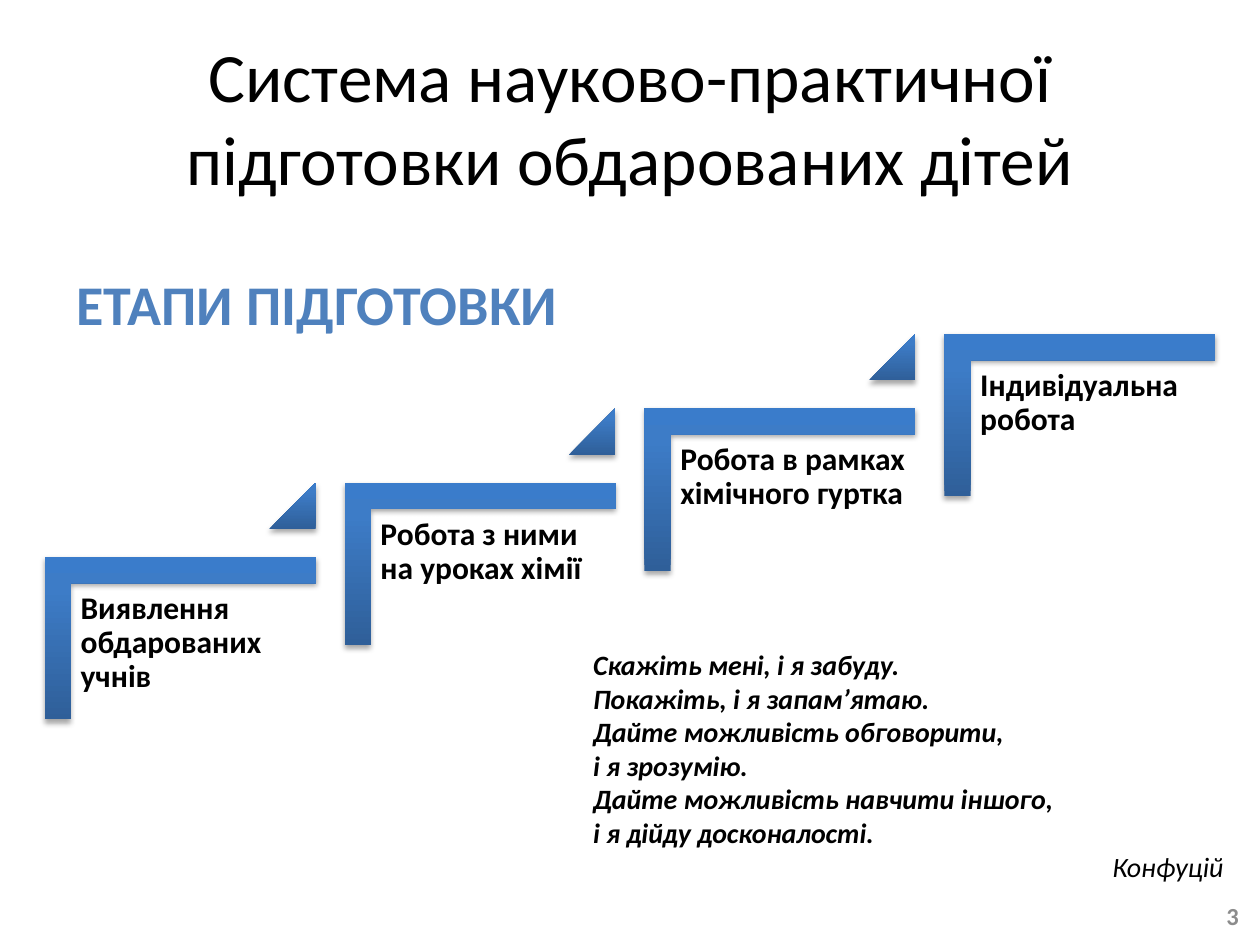
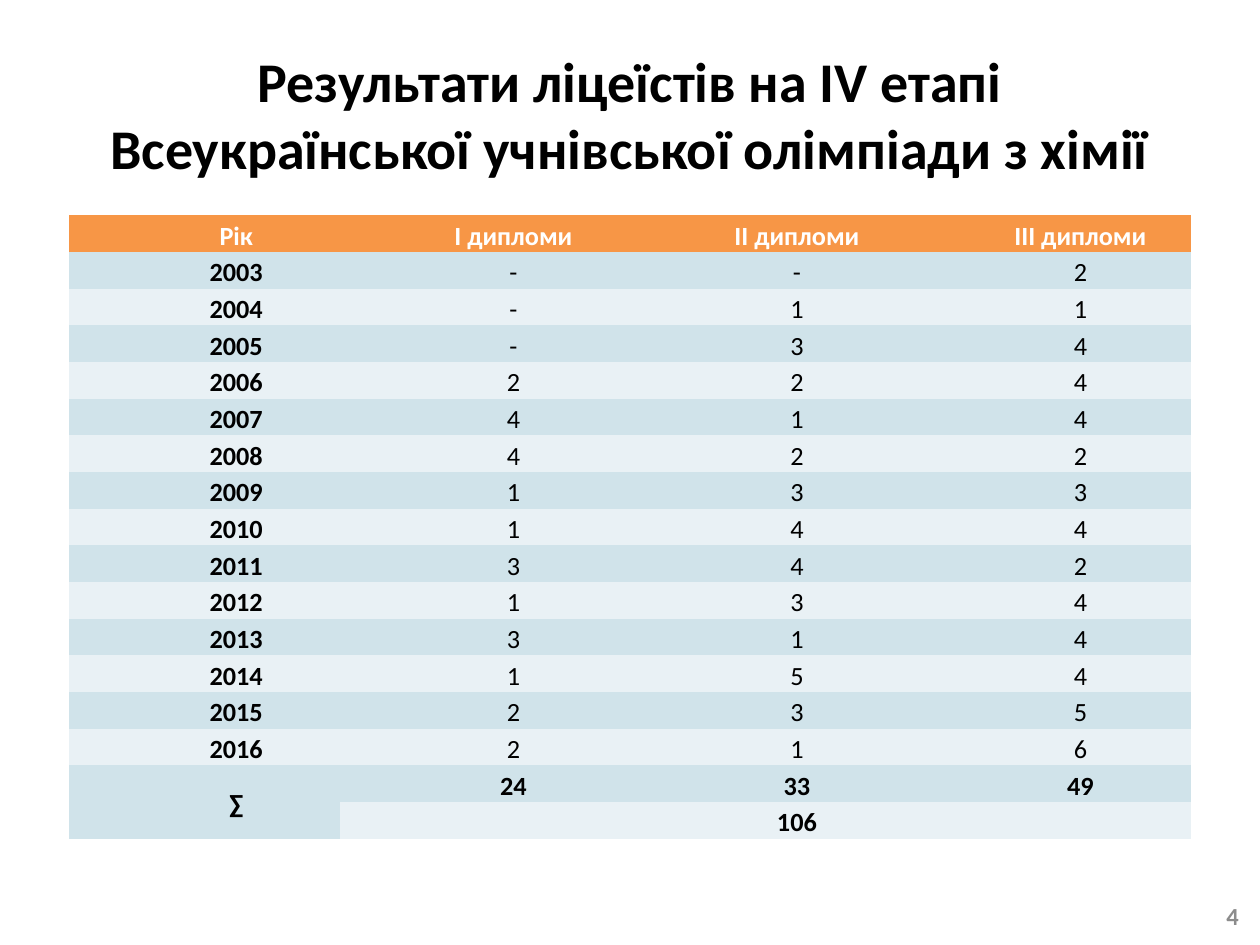
from lxml.etree import SubElement
from pptx import Presentation
from pptx.dml.color import RGBColor
from pptx.enum.shapes import MSO_SHAPE
from pptx.enum.text import MSO_ANCHOR, PP_ALIGN
from pptx.oxml import parse_xml
from pptx.oxml.ns import qn
from pptx.util import Inches, Pt

# The slide is a grid of 100 columns by 75 rows of square cells.
COLUMNS, ROWS = 100, 75
CELL = Inches(0.1)
FONT = "Calibri"
BLACK, WHITE, GREY, BLUE = "000000", "FFFFFF", "8C8C8C", "4F81BD"
HEADER_FILL, BAND_FILLS = "F79646", ("E9F1F5", "D0E3EA")
STEP_GRADIENT = ((0, "2F5F99"), (80, "3D7CC7"), (100, "3A7CCB"))
NO_GRID_STYLE = "{2D5ABB26-0587-4C30-8999-92F81FD0307C}"
DRAWING_NS = 'xmlns:a="http://schemas.openxmlformats.org/drawingml/2006/main"'

STAGES = (
    "Виявлення обдарованих учнів",
    "Робота з ними на уроках хімії",
    "Робота в рамках хімічного гуртка",
    "Індивідуальна робота",
)
QUOTE = (
    "Скажіть мені, і я забуду.",
    "Покажіть, і я запам’ятаю.",
    "Дайте можливість обговорити,",
    "і я зрозумію.",
    "Дайте можливість навчити іншого,",
    "і я дійду досконалості.",
)
DIPLOMA_HEADINGS = ("Рік", "І дипломи", "ІІ дипломи", "ІІІ дипломи")
FIRST_YEAR = 2003
DIPLOMAS = ("--2", "-11", "-34", "224", "414", "422", "133",
            "144", "342", "134", "314", "154", "235", "216")
TOTALS = (("∑", "24", "33", "49"), ("", "106", "", ""))


def cells(*lengths):
    return [round(length * CELL) for length in lengths]


def color(hex_value):
    return RGBColor.from_string(hex_value)


def style(paragraph, size, hex_value=BLACK, bold=False, italic=False, **layout):
    """Set the font, then any paragraph attributes such as alignment."""
    font = paragraph.font
    values = {"name": FONT, "size": Pt(size), "bold": bold, "italic": italic}
    for name, value in values.items():
        setattr(font, name, value)
    font.color.rgb = color(hex_value)
    for name, value in layout.items():
        setattr(paragraph, name, value)


def add_text(shapes, box, lines, anchor=MSO_ANCHOR.TOP, inset=None, **format_values):
    frame = shapes.add_textbox(*cells(*box)).text_frame
    frame.word_wrap = True
    frame.vertical_anchor = anchor
    if inset is not None:
        for side in ("left", "top", "right", "bottom"):
            setattr(frame, f"margin_{side}", Inches(inset))
    frame.text = "\n".join(lines)
    for paragraph in frame.paragraphs:
        style(paragraph, **format_values)
    return frame


def add_titled_slide(deck, title, box, number, size, bold=False):
    slide = deck.slides.add_slide(deck.slide_layouts[5])
    heading = slide.shapes.title
    heading.left, heading.top, heading.width, heading.height = cells(*box)
    frame = heading.text_frame
    frame.text = title
    frame.word_wrap = True
    frame.vertical_anchor = MSO_ANCHOR.MIDDLE
    style(frame.paragraphs[0], size, bold=bold, alignment=PP_ALIGN.CENTER)
    add_text(slide.shapes, (76, 70.7, 23.3, 4), [str(number)], MSO_ANCHOR.MIDDLE,
             size=14, hex_value=GREY, bold=True, alignment=PP_ALIGN.RIGHT)
    return slide


def add_step_shape(shapes, kind, box, adjustments, rotation=0):
    """Add a shape with an upright three-stop gradient and a soft shadow."""
    shape = shapes.add_shape(kind, *cells(*box))
    shape.rotation = rotation
    for index, value in enumerate(adjustments):
        shape.adjustments[index] = value
    shape.line.fill.background()
    stops = "".join(
        f'<a:gs pos="{share * 1000}"><a:srgbClr val="{hex_value}"/></a:gs>'
        for share, hex_value in STEP_GRADIENT)
    properties = shape._element.spPr
    properties.find(qn("a:prstGeom")).addnext(parse_xml(
        f'<a:gradFill {DRAWING_NS} rotWithShape="0"><a:gsLst>{stops}</a:gsLst>'
        '<a:lin ang="16200000" scaled="0"/></a:gradFill>'))
    properties.append(parse_xml(
        f'<a:effectLst {DRAWING_NS}><a:outerShdw blurRad="{Pt(3.1)}" dist="{Pt(1.8)}" '
        'dir="5400000" rotWithShape="0"><a:srgbClr val="000000">'
        '<a:alpha val="35000"/></a:srgbClr></a:outerShdw></a:effectLst>'))


def add_staircase(slide, box, stages):
    """Climb from the lower left of the box, one bracket per stage."""
    left, top, width, height = box
    step_width, step_height, marker = 21.5, 12.9, 3.7
    last = len(stages) - 1
    run = (width - step_width) / last
    rise = (height - step_height) / last
    shapes = slide.shapes.add_group_shape().shapes
    for index, stage in enumerate(stages):
        x, y = left + index * run, top + (last - index) * rise
        turn = (step_width - step_height) / 2
        add_step_shape(shapes, MSO_SHAPE.CORNER,
                       (x + turn, y - turn, step_height, step_width),
                       (0.161, 0.161), rotation=90)
        add_text(shapes, (x + 2.15, y + 2.1, 19.4, 17), [stage], inset=0.07,
                 size=18, bold=True, line_spacing=0.9)
        if index < last:
            add_step_shape(shapes, MSO_SHAPE.ISOSCELES_TRIANGLE,
                           (x + step_width - marker, y - rise, marker, marker), (1,))


def add_quote(slide, box, lines, author):
    frame = add_text(slide.shapes, box, lines, size=16, bold=True, italic=True)
    signature = frame.add_paragraph()
    signature.text = author
    style(signature, 16, italic=True, alignment=PP_ALIGN.RIGHT)


def fill_cell(cell, text, fill, **format_values):
    cell.fill.solid()
    cell.fill.fore_color.rgb = color(fill)
    cell.vertical_anchor = MSO_ANCHOR.MIDDLE
    margins = {"left": 0.06, "top": 0, "right": 0.06, "bottom": 0}
    for side, margin in margins.items():
        setattr(cell, f"margin_{side}", Inches(margin))
    cell.text = text
    paragraph = cell.text_frame.paragraphs[0]
    indent = paragraph._p.get_or_add_pPr()
    indent.set("marL", str(Inches(0.5)))
    indent.set("indent", "0")
    style(paragraph, 15, alignment=PP_ALIGN.CENTER, line_spacing=1.15, **format_values)


def add_diploma_table(slide, box):
    years = [(str(FIRST_YEAR + index), *counts) for index, counts in enumerate(DIPLOMAS)]
    records = [DIPLOMA_HEADINGS, *years, *TOTALS]
    first_total = len(records) - len(TOTALS)
    left, top, width, height = box
    table = slide.shapes.add_table(
        len(records), len(DIPLOMA_HEADINGS), *cells(*box)).table
    table.first_row = table.horz_banding = False
    properties = table._tbl.tblPr
    for style_id in properties.findall(qn("a:tableStyleId")):
        properties.remove(style_id)
    SubElement(properties, qn("a:tableStyleId")).text = NO_GRID_STYLE

    diploma_width = 22.5
    for index, column in enumerate(table.columns):
        column.width = cells(diploma_width if index else width - 3 * diploma_width)[0]
    for row in table.rows:
        row.height = cells(height / len(records))[0]
    for row, record in enumerate(records):
        for column, text in enumerate(record):
            fill_cell(table.cell(row, column), text,
                      BAND_FILLS[row % 2] if row else HEADER_FILL,
                      hex_value=BLACK if row else WHITE,
                      bold=row == 0 or column == 0 or row >= first_total)
    table.cell(first_total, 0).merge(table.cell(first_total + 1, 0))
    table.cell(first_total + 1, 1).merge(table.cell(first_total + 1, 3))


def build_stages_slide(deck):
    slide = add_titled_slide(
        deck, "Система науково-практичної підготовки обдарованих дітей",
        (5, 3, 90, 12.5), 3, size=39.6)
    add_staircase(slide, (3.55, 26.5, 92.9, 30.6), STAGES)
    add_text(slide.shapes, (5.1, 20.9, 44.1, 6.4), ["ЕТАПИ ПІДГОТОВКИ"],
             size=32, hex_value=BLUE, bold=True)
    add_quote(slide, (46.1, 50.9, 52, 20.2), QUOTE, "Конфуцій")


def build_results_slide(deck):
    slide = add_titled_slide(
        deck, "Результати ліцеїстів на IV етапі Всеукраїнської учнівської олімпіади з хімії",
        (5, 5.2, 90, 12.5), 4, size=32, bold=True)
    slide.shapes.title.text_frame.margin_bottom = Inches(0.54)
    add_diploma_table(slide, (5.5, 17.1, 89, 49.5))


def main():
    deck = Presentation()
    deck.slide_width, deck.slide_height = cells(COLUMNS, ROWS)
    build_stages_slide(deck)
    build_results_slide(deck)
    deck.save("out.pptx")


if __name__ == "__main__":
    main()
